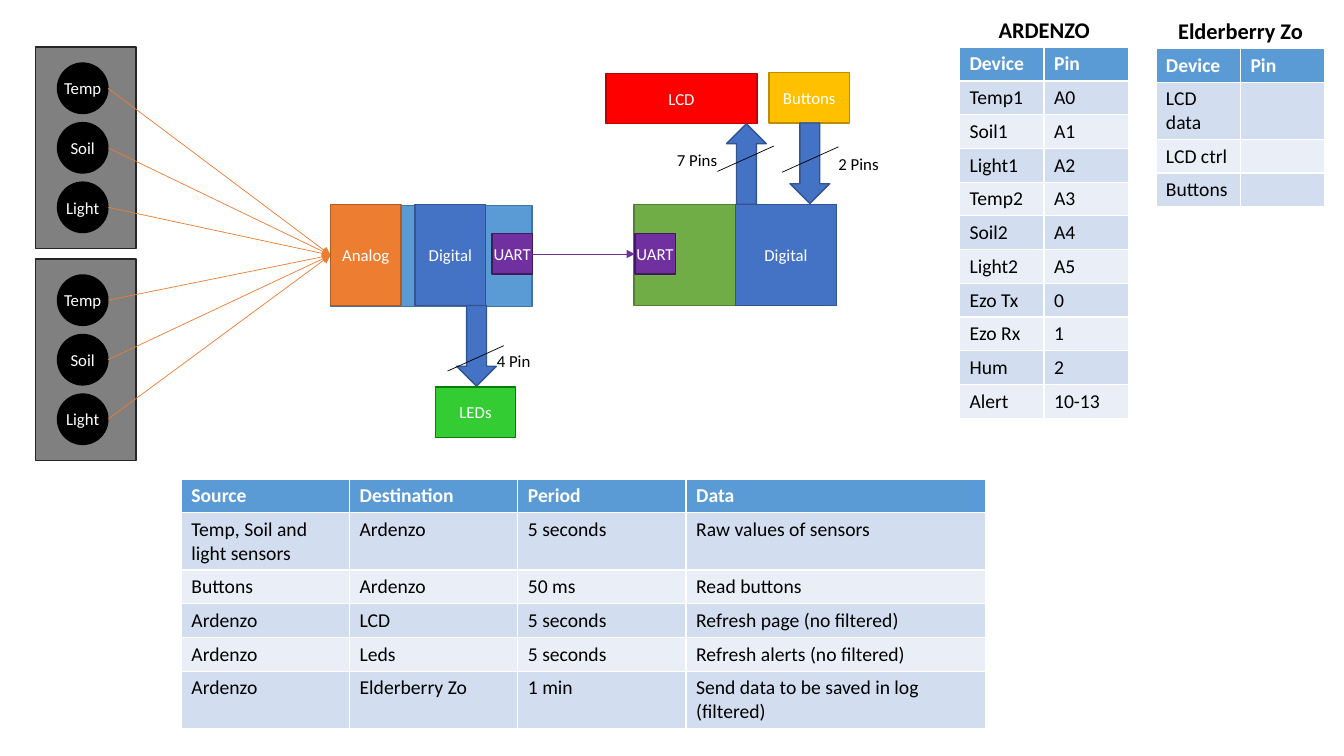
from pptx import Presentation
from pptx.dml.color import RGBColor
from pptx.enum.shapes import MSO_CONNECTOR as Connector, MSO_SHAPE as Preset
from pptx.enum.text import MSO_ANCHOR as Anchor, PP_ALIGN as Align
from pptx.oxml.ns import qn
from pptx.util import Cm, Pt
from lxml.etree import SubElement

WHITE, BLACK = "FFFFFF", "000000"
ORANGE, PURPLE = "ED7D31", "7030A0"
BLUE, BLUE_EDGE = "4472C4", "325491"
HEADER, BANDS = "5B9BD5", ("EAEFF7", "D2DEEF")


def color(value):
    return RGBColor.from_string(value)


class Diagram:
    """Holds the text style and the current slide."""
    font_name = "Calibri"

    def __init__(self, slide):
        self.slide = slide

    def style(self, paragraph, size, text_color, bold=False, align=Align.LEFT):
        paragraph.alignment = align
        font = paragraph.font
        font.name, font.size, font.bold = self.font_name, Pt(size), bold
        font.color.rgb = color(text_color)

    def box(self, left, top, width, height, fill, edge, text="",
            preset=Preset.RECTANGLE):
        shape = self.slide.shapes.add_shape(
            preset, Cm(left), Cm(top), Cm(width), Cm(height))
        shape.shadow.inherit = False
        shape.fill.solid()
        shape.fill.fore_color.rgb = color(fill)
        shape.line.color.rgb = color(edge)
        shape.line.width = Pt(1)
        if text:
            frame = shape.text_frame
            frame.margin_left = frame.margin_right = 0
            frame.margin_top = frame.margin_bottom = 0
            frame.word_wrap = False
            frame.vertical_anchor = Anchor.MIDDLE
            frame.text = text
            self.style(frame.paragraphs[0], 12, WHITE, align=Align.CENTER)
        return shape

    def label(self, left, top, width, height, text, size=12, bold=False,
              align=Align.LEFT):
        frame = self.slide.shapes.add_textbox(
            Cm(left), Cm(top), Cm(width), Cm(height)).text_frame
        frame.word_wrap = True
        frame.text = text
        self.style(frame.paragraphs[0], size, BLACK, bold, align)

    def line(self, start, end, line_color, arrow=False):
        connector = self.slide.shapes.add_connector(
            Connector.STRAIGHT, *map(Cm, start + end))
        connector.line.color.rgb = color(line_color)
        connector.line.width = Pt(0.5)
        if arrow:
            SubElement(connector.line._get_or_add_ln(), qn("a:tailEnd"),
                       type="triangle")
        SubElement(connector._element.spPr, qn("a:effectLst"))

    def bus(self, left, top, slash, label, text, rotation=0):
        """Block arrow crossed by a slash, with its pin count."""
        arrow = self.box(left, top, 1, 2.03, BLUE, BLUE_EDGE,
                         preset=Preset.DOWN_ARROW)
        arrow.rotation = rotation
        self.line(slash, (slash[0] + 1.42, slash[1] - 0.64), BLACK)
        self.label(*label, 1.93, 0.77, text)

    def table(self, left, top, widths, rows):
        row_height = 0.85
        table = self.slide.shapes.add_table(
            len(rows), len(widths), Cm(left), Cm(top),
            Cm(sum(widths)), Cm(row_height * len(rows))).table
        for column, width in zip(table.columns, widths):
            column.width = Cm(width)
        for row_index, values in enumerate(rows):
            is_header = row_index == 0
            table.rows[row_index].height = Cm(row_height)
            for column_index, value in enumerate(values):
                cell = table.cell(row_index, column_index)
                cell.fill.solid()
                cell.fill.fore_color.rgb = color(
                    HEADER if is_header else BANDS[row_index % 2])
                cell.text = value
                self.style(cell.text_frame.paragraphs[0], 14,
                           WHITE if is_header else BLACK, is_header)


presentation = Presentation()
presentation.slide_width, presentation.slide_height = Cm(33.87), Cm(19.05)
diagram = Diagram(presentation.slides.add_slide(presentation.slide_layouts[6]))

# Boards and display
diagram.box(8.33, 5.18, 5.08, 2.54, HEADER, "43739E")
diagram.box(15.98, 5.16, 5.08, 2.54, "70AD47", "538035")
diagram.box(15.27, 1.85, 3.81, 1.27, "FF0000", "C00000", "LCD")

# Sensor groups, each sensor wired to the analog input
analog_input = (8.33, 6.43)
for group_top in (1.19, 6.53):
    diagram.box(0.89, group_top, 2.54, 5.08, "808080", "262626")
    for index, sensor in enumerate(("Temp", "Soil", "Light")):
        sensor_top = group_top + 0.4 + 1.5 * index
        diagram.box(1.45, sensor_top, 1.27, 1.27, BLACK, BLACK, sensor,
                    Preset.OVAL)
        diagram.line((2.72, sensor_top + 0.635), analog_input, ORANGE, True)

# Ports, buttons and LEDs
diagram.box(8.33, 5.16, 1.78, 2.54, ORANGE, "AF5C24", "Analog")
diagram.box(10.46, 5.16, 1.78, 2.54, BLUE, BLUE_EDGE, "Digital")
diagram.box(19.38, 1.83, 2.03, 1.27, "FFC000", "BD8E00", "Buttons")
diagram.box(10.97, 9.75, 2.03, 1.27, "33CC33", "008000", "LEDs")

# Pin buses
diagram.bus(18.31, 3.12, (18.08, 4.32), (16.81, 3.66), "7 Pins", rotation=180)
diagram.bus(19.91, 3.1, (19.71, 4.34), (20.88, 3.76), "2 Pins")
diagram.bus(11.51, 7.7, (11.28, 9.35), (12.27, 8.71), "4 Pin")
diagram.box(18.54, 5.16, 2.54, 2.54, BLUE, BLUE_EDGE, "Digital")

# Serial link
for uart_left in (12.4, 16):
    diagram.box(uart_left, 5.89, 1.02, 1.02, PURPLE, "401B5B", "UART")
diagram.line((13.41, 6.4), (16, 6.4), PURPLE, True)

# Data flow table
diagram.table(4.57, 12.07, (4.24, 4.24, 4.24, 7.54), (
    ("Source", "Destination", "Period", "Data"),
    ("Temp, Soil and light sensors", "Ardenzo", "5 seconds",
     "Raw values of sensors"),
    ("Buttons", "Ardenzo", "50 ms", "Read buttons"),
    ("Ardenzo", "LCD", "5 seconds", "Refresh page (no filtered)"),
    ("Ardenzo", "Leds", "5 seconds", "Refresh alerts (no filtered)"),
    ("Ardenzo", "Elderberry Zo", "1 min",
     "Send data to be saved in log (filtered)"),
))

# Pin tables
pin_widths = (2.13, 2.13)
pin_header = ("Device", "Pin")
pin_tables = (
    ("ARDENZO", 24.18, 1.19, (
        ("Temp1", "A0"), ("Soil1", "A1"), ("Light1", "A2"),
        ("Temp2", "A3"), ("Soil2", "A4"), ("Light2", "A5"),
        ("Ezo Tx", "0"), ("Ezo Rx", "1"), ("Hum", "2"), ("Alert", "10-13"))),
    ("Elderberry Zo", 29.13, 1.22, (
        ("LCD data", ""), ("LCD ctrl", ""), ("Buttons", ""))),
)
for title, left, top, pins in pin_tables:
    diagram.label(left, top - 0.92, 4.27, 0.94, title, 16, True, Align.CENTER)
    diagram.table(left, top, pin_widths, (pin_header,) + pins)

presentation.save("out.pptx")
